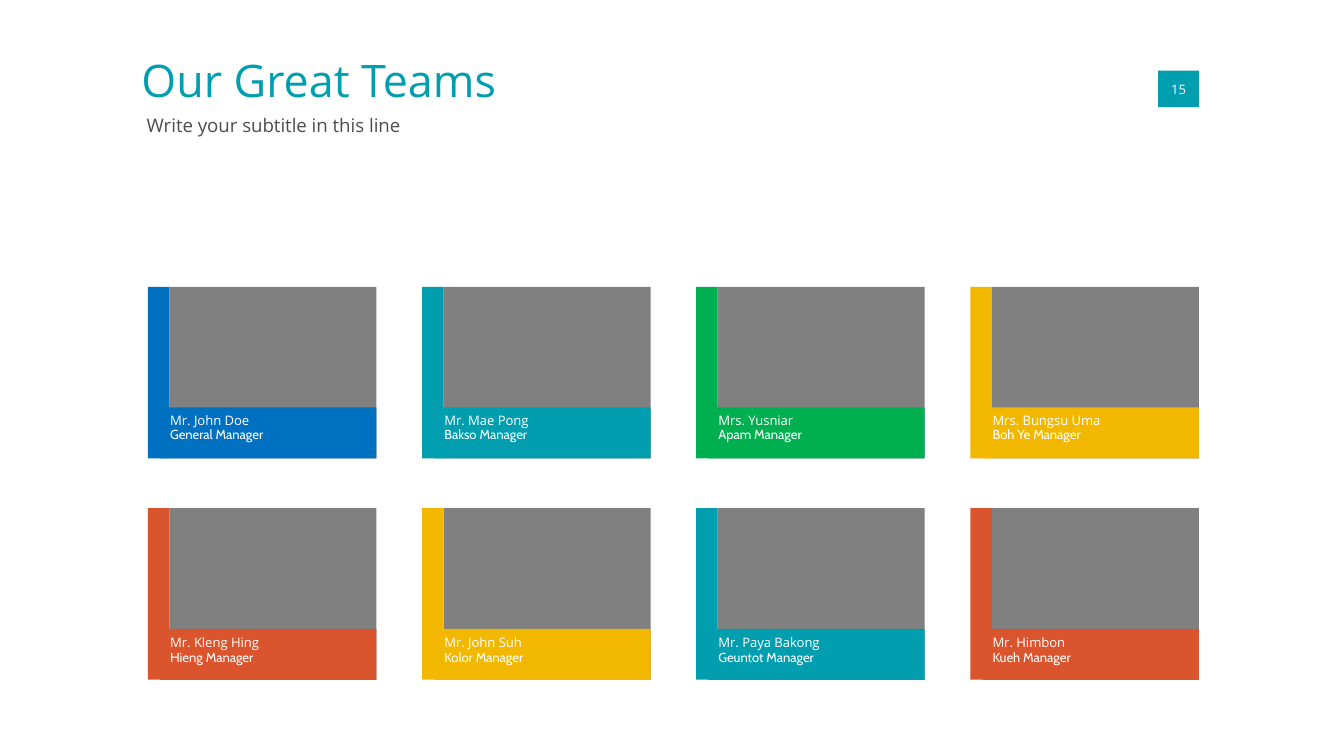
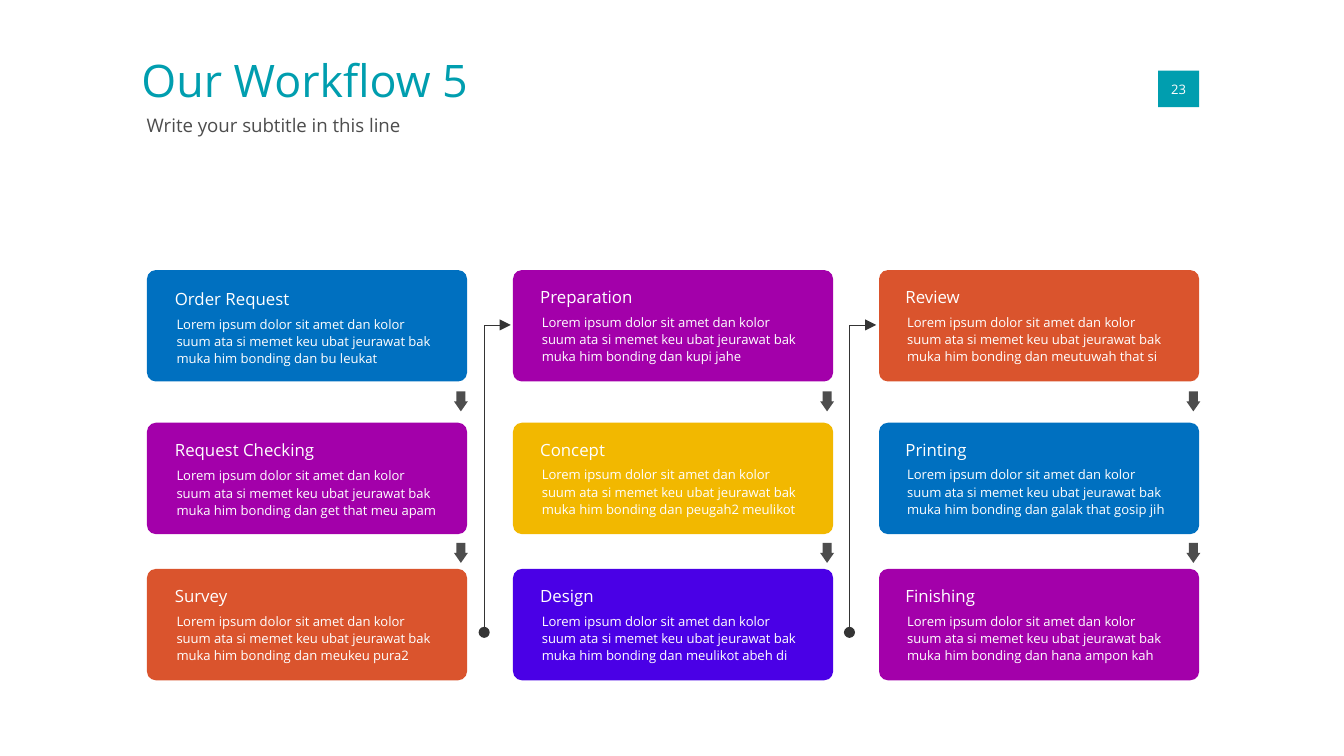
"""Build a team slide and a workflow slide that share one header style."""
from dataclasses import dataclass
from typing import NamedTuple

from lxml import etree
from pptx import Presentation
from pptx import slide as sl
from pptx import util as u
from pptx.dml import color as col
from pptx.enum import shapes as sh
from pptx.enum import text as tx
from pptx.oxml import ns

Pt = u.Pt


@dataclass(frozen=True)
class Theme:
    blue: str = "0070C0"
    teal: str = "009EAF"
    green: str = "00B050"
    gold: str = "F2B800"
    rust: str = "DA542D"
    plum: str = "A300AA"
    violet: str = "4A00E6"
    photo: str = "808080"
    dark: str = "4D4D4D"
    wire: str = "343434"
    white: str = "FFFFFF"
    sans: str = "Open Sans"
    alt: str = "Cabin"
    title: float = 24
    sub: float = 10
    head: float = 9
    small: float = 7


T = Theme()


class Box(NamedTuple):
    left: float
    top: float
    width: float
    height: float


class Line(NamedTuple):
    text: str
    size: float
    tint: str = T.white
    font: str = T.sans


class Member(NamedTuple):
    name: str
    role: str
    tint: str


class Step(NamedTuple):
    name: str
    end: str
    tint: str
    drop: float = 0


TEAM = (
    (
        Member("Mr. John Doe", "General Manager", T.blue),
        Member("Mr. Mae Pong", "Bakso Manager", T.teal),
        Member("Mrs. Yusniar", "Apam Manager", T.green),
        Member("Mrs. Bungsu Uma", "Boh Ye Manager", T.gold),
    ),
    (
        Member("Mr. Kleng Hing", "Hieng Manager", T.rust),
        Member("Mr. John Suh", "Kolor Manager", T.gold),
        Member("Mr. Paya Bakong", "Geuntot Manager", T.teal),
        Member("Mr. Himbon", "Kueh Manager", T.rust),
    ),
)

STEPS = (
    (
        Step("Order Request", "bu leukat", T.blue, 1.2),
        Step("Request Checking", "get that meu apam", T.plum, 0.5),
        Step("Survey", "meukeu pura2", T.rust),
    ),
    (
        Step("Preparation", "kupi jahe", T.plum),
        Step("Concept", "peugah2 meulikot", T.gold),
        Step("Design", "meulikot abeh di", T.violet),
    ),
    (
        Step("Review", "meutuwah that si", T.rust),
        Step("Printing", "galak that gosip jih", T.blue),
        Step("Finishing", "hana ampon kah", T.plum),
    ),
)

LOREM = ("Lorem ipsum dolor sit amet dan kolor suum ata si memet keu ubat "
         "jeurawat bak muka him bonding dan ")


def place(box: Box) -> tuple:
    return tuple(Pt(side) for side in box)


def write(shape, lines: list[Line], inset: float = 0, space: float = 1,
          align=tx.PP_ALIGN.LEFT, anchor=tx.MSO_ANCHOR.TOP) -> None:
    frame = shape.text_frame
    frame.word_wrap = True
    frame.auto_size = tx.MSO_AUTO_SIZE.NONE
    frame.vertical_anchor = anchor
    frame.margin_left = frame.margin_right = Pt(inset)
    frame.margin_top = frame.margin_bottom = Pt(inset)
    for index, line in enumerate(lines):
        para = frame.add_paragraph() if index else frame.paragraphs[0]
        para.alignment = align
        para.line_spacing = space
        para.space_before = Pt(0)
        run = para.add_run()
        run.text = line.text
        run.font.name = line.font
        run.font.size = Pt(line.size)
        run.font.color.rgb = col.RGBColor.from_string(line.tint)


def block(page: sl.Slide, box: Box, tint: str,
          kind=sh.MSO_SHAPE.RECTANGLE, bends: tuple = ()):
    shape = page.shapes.add_shape(kind, *place(box))
    shape.shadow.inherit = False
    shape.fill.solid()
    shape.fill.fore_color.rgb = col.RGBColor.from_string(tint)
    shape.line.fill.background()
    for index, bend in enumerate(bends):
        shape.adjustments[index] = bend
    return shape


def label(page: sl.Slide, box: Box, lines: list[Line], **style) -> None:
    write(page.shapes.add_textbox(*place(box)), lines, **style)


def header(deck, title: str, number: str) -> sl.Slide:
    page = deck.slides.add_slide(deck.slide_layouts[0])
    parts = (
        (page.shapes.title, Box(75.8, 28.1, 342.7, 35.3),
         Line(title, T.title, T.teal)),
        (page.placeholders[1], Box(78.6, 61.2, 497.5, 16.6),
         Line("Write your subtitle in this line", T.sub, T.dark)),
    )
    for holder, box, line in parts:
        holder.left, holder.top, holder.width, holder.height = place(box)
        write(holder, [line])
    badge = block(page, Box(620.4, 37.8, 22, 19.6), T.teal)
    write(badge, [Line(number, T.small)], align=tx.PP_ALIGN.CENTER,
          anchor=tx.MSO_ANCHOR.MIDDLE)
    return page


def wire(page: sl.Slide, left: float) -> None:
    build = page.shapes.build_freeform(Pt(left), Pt(338.8))
    build.add_line_segments(
        [(Pt(left), Pt(174.1)), (Pt(left + 14.3), Pt(174.1))], close=False)
    shape = build.convert_to_shape()
    shape.shadow.inherit = False
    shape.fill.background()
    shape.line.width = Pt(0.25)
    shape.line.color.rgb = col.RGBColor.from_string(T.wire)
    line = shape.line.fill._xPr
    for tag, tip in (("a:headEnd", "oval"), ("a:tailEnd", "triangle")):
        etree.SubElement(line, ns.qn(tag), type=tip)


def team(deck) -> None:
    page = header(deck, "Our Great Teams", "15")
    for row, top, words in zip(TEAM, (153.7, 272.3), (222, 341.1)):
        for index, member in enumerate(row):
            left = 79.3 + 146.85 * index
            block(page, Box(left + 11.5, top, 110.9, 91.9), T.photo)
            block(page, Box(left, top, 11.5, 91.9), member.tint)
            block(page, Box(left + 6.5, top + 64.6, 115.9, 27.3), member.tint)
            label(page, Box(left + 11.9, words, 98.6, 20.2),
                  [Line(member.name, T.small),
                   Line(member.role, T.small, font=T.alt)], space=0.9)


def flow(deck) -> None:
    page = header(deck, "Our Workflow 5", "23")
    for index, column in enumerate(STEPS):
        left = 78.75 + 196.1 * index
        words = 90.7 + 195.7 * index
        for step, top in zip(column, (144.7, 226.5, 304.8)):
            block(page, Box(left, top, 171.5, 59.7), step.tint,
                  sh.MSO_SHAPE.ROUNDED_RECTANGLE, (0.08,))
            top += step.drop
            label(page, Box(words, top + 5.8, 147, 20.2),
                  [Line(step.name, T.head)], inset=3)
            label(page, Box(words + 0.9, top + 16.1, 146.2, 41),
                  [Line(LOREM + step.end, T.small)], inset=3, space=1.1,
                  anchor=tx.MSO_ANCHOR.MIDDLE)
        for top in (209.7, 290.9):
            block(page, Box(243.2 + 196.2 * index, top, 7.4, 10.7), T.dark,
                  sh.MSO_SHAPE.DOWN_ARROW, (0.66, 0.72))
    for index in range(len(STEPS) - 1):
        wire(page, 259.4 + 195.7 * index)


def main() -> None:
    deck = Presentation()
    deck.slide_width, deck.slide_height = Pt(720), Pt(405)
    team(deck)
    flow(deck)
    deck.save("out.pptx")


if __name__ == "__main__":
    main()
